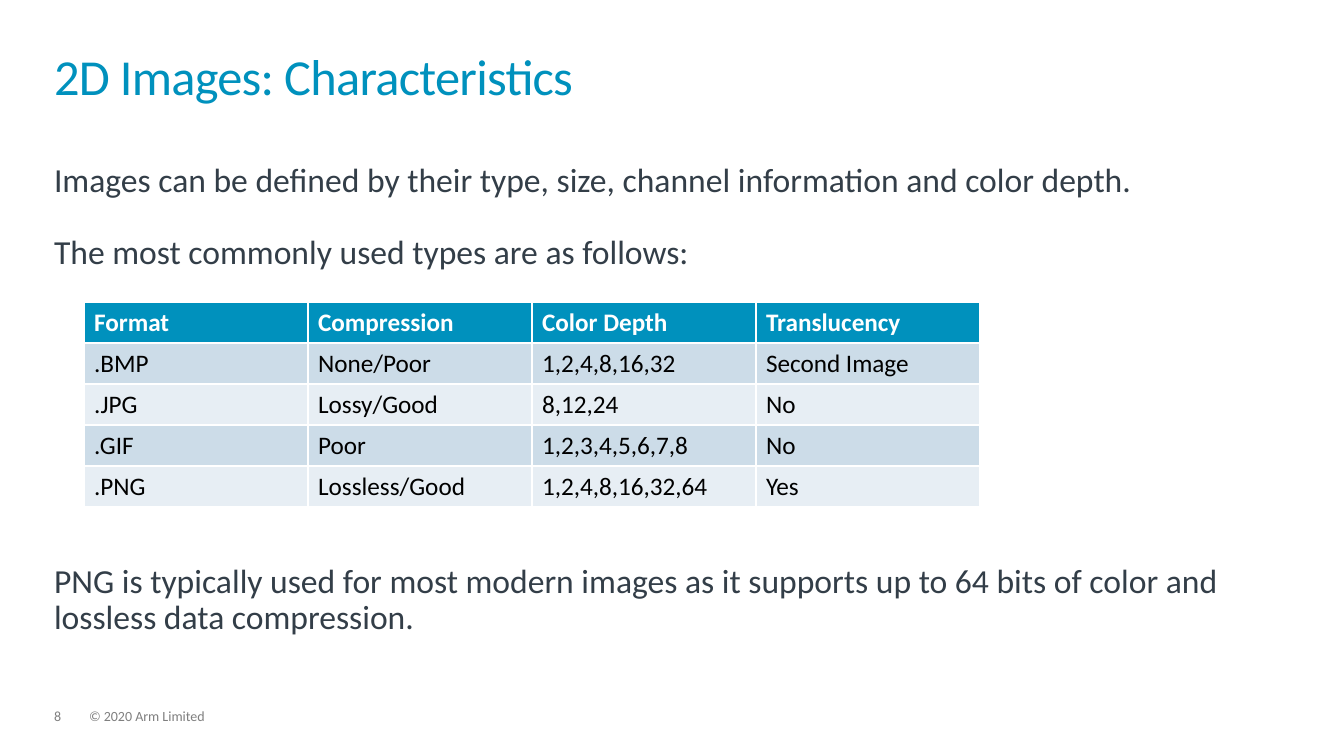
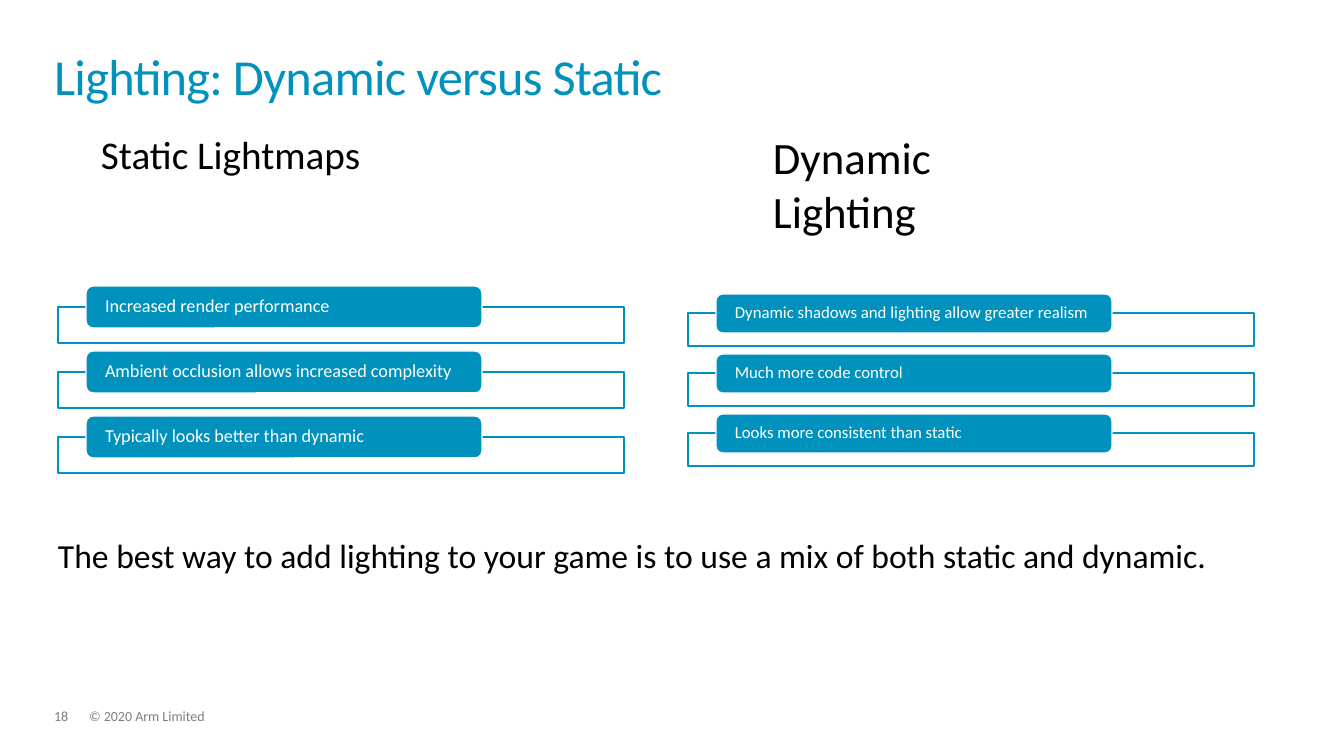
from lxml import etree
from pptx import Presentation
from pptx import util as u
from pptx.dml.color import RGBColor
from pptx.enum import shapes, text
from pptx.oxml.ns import qn

PX = 914400 / 100.8
FONT = "Calibri"
BLUE = RGBColor(0x00, 0x91, 0xBD)
SLATE = RGBColor(0x33, 0x3E, 0x48)
GREY = RGBColor(0x7F, 0x7F, 0x7F)
BAND_DARK = RGBColor(0xCC, 0xDC, 0xE8)
BAND_LIGHT = RGBColor(0xE7, 0xEE, 0xF4)
WHITE = RGBColor(0xFF, 0xFF, 0xFF)
BLACK = RGBColor(0x00, 0x00, 0x00)

TITLE_ONLY, TITLE_AND_BODY = 5, 1
COPYRIGHT = "© 2020 Arm Limited"

FORMATS = [
    ["Format", "Compression", "Color Depth", "Translucency"],
    [".BMP", "None/Poor", "1,2,4,8,16,32", "Second Image"],
    [".JPG", "Lossy/Good", "8,12,24", "No"],
    [".GIF", "Poor", "1,2,3,4,5,6,7,8", "No"],
    [".PNG", "Lossless/Good", "1,2,4,8,16,32,64", "Yes"],
]
INTRO = [
    ("Images can be defined by their type, size, channel information and color depth.", 26),
    ("The most commonly used types are as follows:", 209),
    ("PNG is typically used for most modern images as it supports up to 64 bits "
     "of color and lossless data compression.", 0),
]
STATIC_POINTS = [
    "Increased render performance",
    "Ambient occlusion allows increased complexity",
    "Typically looks better than dynamic",
]
DYNAMIC_POINTS = [
    "Dynamic shadows and lighting allow greater realism",
    "Much more code control",
    "Looks more consistent than static",
]


def px(*lengths):
    return [u.Emu(round(length * PX)) for length in lengths]


def style(paragraph, size, color, bold=False, line=1.0, after=0):
    paragraph.alignment = text.PP_ALIGN.LEFT
    paragraph.line_spacing = line
    paragraph.space_before = u.Pt(0)
    paragraph.space_after = u.Pt(after)
    for run in paragraph.runs:
        run.font.name = FONT
        run.font.size = u.Pt(size)
        run.font.bold = bold
        run.font.color.rgb = color


def set_frame(frame, anchor=text.MSO_ANCHOR.TOP, side=0):
    frame.auto_size = text.MSO_AUTO_SIZE.NONE
    frame.word_wrap = True
    frame.vertical_anchor = anchor
    frame.margin_left, frame.margin_right = px(side, side)
    frame.margin_top = frame.margin_bottom = 0


def place(placeholder, box):
    placeholder.left, placeholder.top, placeholder.width, placeholder.height = px(*box)


def add_text(slide, box, words, size, color, line=1.0):
    frame = slide.shapes.add_textbox(*px(*box)).text_frame
    set_frame(frame)
    frame.text = words
    style(frame.paragraphs[0], size, color, line=line)


def add_page(deck, layout, heading, number):
    slide = deck.slides.add_slide(deck.slide_layouts[layout])
    title = slide.shapes.title
    place(title, (54, 32, 1233, 74))
    set_frame(title.text_frame, text.MSO_ANCHOR.BOTTOM)
    title.text_frame.text = heading
    heading_line = title.text_frame.paragraphs[0]
    style(heading_line, 36, BLUE, line=0.85)
    heading_line.runs[0].font._element.set("spc", "-50")
    add_text(slide, (89, 709, 920, 15), COPYRIGHT, 10, GREY, line=0.9)
    add_text(slide, (54, 709, 34, 15), str(number), 10, GREY, line=0.9)
    return slide


def fill_body(body, box, entries):
    place(body, box)
    frame = body.text_frame
    set_frame(frame)
    frame.text = "\n".join(words for words, _ in entries)
    for paragraph, (_, after) in zip(frame.paragraphs, entries):
        properties = paragraph._p.get_or_add_pPr()
        properties.set("marL", "0")
        properties.set("indent", "0")
        etree.SubElement(properties, qn("a:buNone"))
        style(paragraph, 24, SLATE, line=0.9, after=after)


def add_format_table(slide, box, rows):
    left, top, width, height = box
    grid = slide.shapes.add_table(len(rows), len(rows[0]), *px(*box)).table
    for column in grid.columns:
        column.width, = px(width / len(rows[0]))
    for r, row in enumerate(rows):
        grid.rows[r].height, = px(height / len(rows))
        header = r == 0
        band = BLUE if header else BAND_DARK if r % 2 else BAND_LIGHT
        for c, words in enumerate(row):
            cell = grid.cell(r, c)
            cell.fill.solid()
            cell.fill.fore_color.rgb = band
            cell.text_frame.text = words
            style(cell.text_frame.paragraphs[0], 18, WHITE if header else BLACK, bold=header)


def add_box(slide, preset, box, fill, line):
    shape = slide.shapes.add_shape(preset, *px(*box))
    shape.shadow.inherit = False
    shape.fill.solid()
    shape.fill.fore_color.rgb = fill
    shape.line.color.rgb = line
    shape.line.width = u.Pt(1)
    return shape


def add_point_list(slide, box, points, label_height, panel_height, size):
    left, top, width, height = box
    pitch = height // len(points)
    for i, point in enumerate(points):
        y = top + i * pitch
        panel = (left, y + label_height // 2, width, panel_height)
        add_box(slide, shapes.MSO_SHAPE.RECTANGLE, panel, WHITE, BLUE)
        label = add_box(slide, shapes.MSO_SHAPE.ROUNDED_RECTANGLE,
                        (left + width // 20, y, width * 7 // 10, label_height), BLUE, WHITE)
        set_frame(label.text_frame, text.MSO_ANCHOR.MIDDLE, side=17)
        label.text_frame.text = point
        style(label.text_frame.paragraphs[0], size, WHITE, line=0.9)


def build_images_slide(deck):
    slide = add_page(deck, TITLE_AND_BODY, "2D Images: Characteristics", 8)
    fill_body(slide.placeholders[1], (54, 163, 1233, 451), INTRO)
    add_format_table(slide, (84, 302, 896, 205), FORMATS)


def build_lighting_slide(deck):
    slide = add_page(deck, TITLE_ONLY, "Lighting: Dynamic versus Static", 18)
    add_text(slide, (101, 130, 300, 68), "Static Lightmaps", 28, BLACK)
    add_text(slide, (773, 130, 300, 68), "Dynamic Lighting", 32, BLACK)
    add_point_list(slide, (58, 286, 566, 195), STATIC_POINTS, 42, 36, 13)
    add_point_list(slide, (688, 294, 566, 180), DYNAMIC_POINTS, 39, 33, 12)
    add_text(slide, (58, 535, 1235, 93),
             "The best way to add lighting to your game is to use a mix of both "
             "static and dynamic.", 24, BLACK)


def main():
    deck = Presentation()
    deck.slide_width, deck.slide_height = px(1344, 756)
    build_images_slide(deck)
    build_lighting_slide(deck)
    deck.save("out.pptx")


if __name__ == "__main__":
    main()
